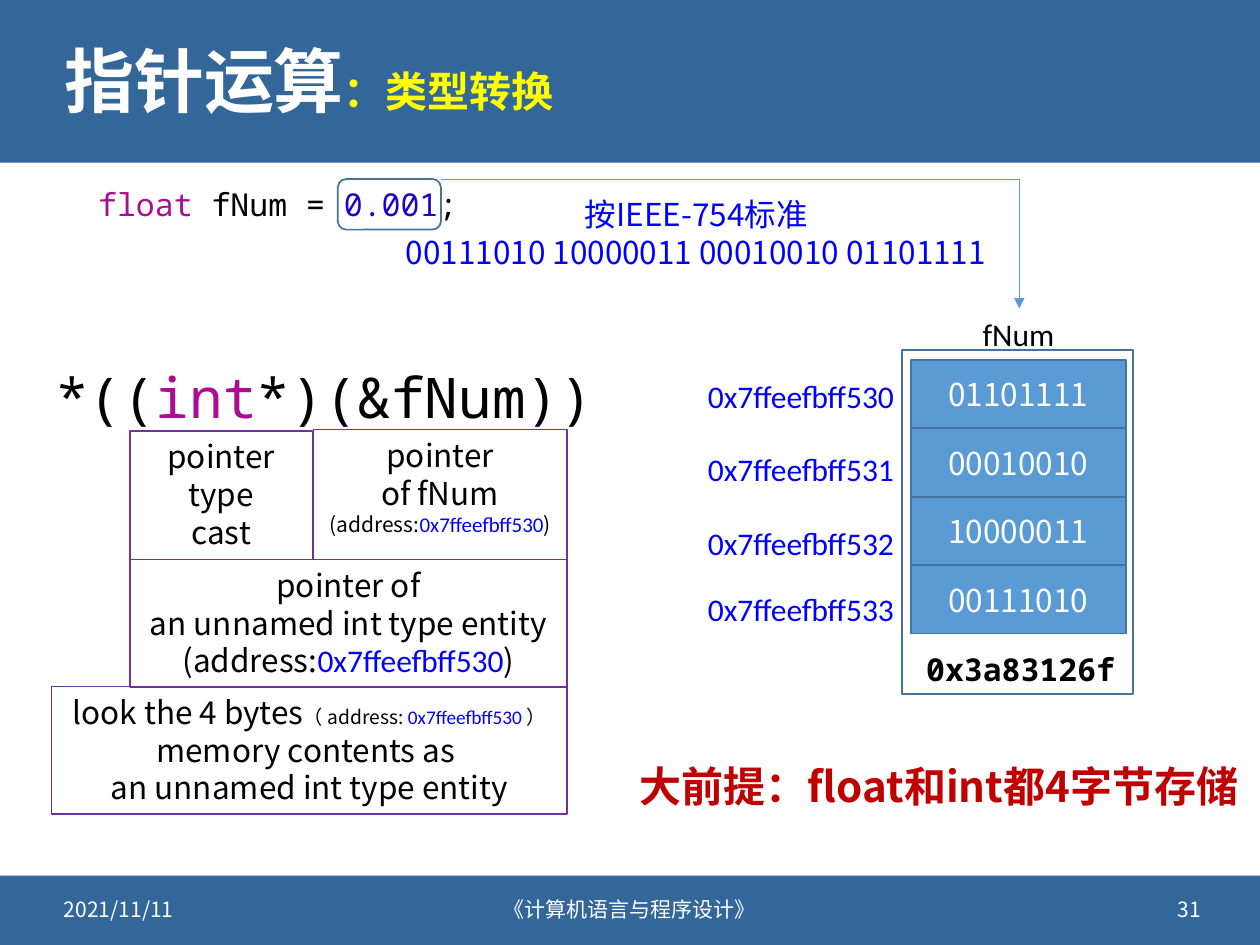
from lxml import etree
from pptx import Presentation
from pptx.dml.color import RGBColor
from pptx.enum import shapes, text
from pptx.oxml.ns import qn
from pptx.util import Cm, Pt

THEME = {
    "band": "336699", "cell": "5B9BD5", "edge": "43739E", "note": "7030A0",
    "white": "FFFFFF", "black": "000000", "yellow": "FFFF00", "blue": "0000FF",
    "keyword": "AA0D91", "number": "1C00CF", "red": "C00000",
    "sans": "Noto Sans CJK SC", "mono": "Noto Sans Mono", "latin": "Calibri",
    "tiny": 11, "small": 12, "body": 18, "large": 24, "code": 32, "title": 40,
}
LEFT, CENTER, RIGHT = text.PP_ALIGN.LEFT, text.PP_ALIGN.CENTER, text.PP_ALIGN.RIGHT
RECT, ROUNDED = shapes.MSO_SHAPE.RECTANGLE, shapes.MSO_SHAPE.ROUNDED_RECTANGLE
ADDRESS = "0x7ffeefbff530"


def sans(words, size="body", color="black", bold=False):
    return words, "sans", size, color, bold


def mono(words, size="body", color="black", bold=False):
    return words, "mono", size, color, bold


def latin(words, size="body", color="blue", bold=False):
    return words, "latin", size, color, bold


BANDS = [(0, 0, 25.4, 3.28), (0, 17.65, 25.4, 1.4)]
FOOTER = [
    ("2021/11/11", LEFT, 1.04, 6.1),
    ("《计算机语言与程序设计》", CENTER, 8.13, 9.14),
    ("31", RIGHT, 18.36, 6.1),
]
TITLE = [[sans("指针运算", "title", "white", True), sans("：类型转换", "large", "yellow", True)]]
LABELS = [
    ((1.73, 3.61, 7.87, 1.02), [[mono("float ", color="keyword"), mono("fNum = "),
                                 mono("0.001", color="number"), mono(";")]]),
    ((19.56, 6.22, 1.98, 1.02), [[latin("fNum", color="black")]]),
    ((0.86, 7.19, 11.48, 1.63), [[mono("*((", "code"), mono("int", "code", "keyword"),
                                  mono("*)(&fNum))", "code")]]),
    ((18.42, 12.98, 4.39, 1.02), [[mono("0x3a83126f", bold=True)]]),
]
STANDARD = [[sans("按IEEE-754标准", color="blue")],
            [sans("00111010 10000011 00010010 01101111", color="blue")]]
PREMISE = [[sans("大前提：float和int都4字节存储", "large", "red", True)]]
MEMORY = [
    ("01101111", "0x7ffeefbff530", 7.47),
    ("00010010", "0x7ffeefbff531", 8.94),
    ("10000011", "0x7ffeefbff532", 10.44),
    ("00111010", "0x7ffeefbff533", 11.76),
]
NOTES = [
    ((6.32, 8.66, 5.11, 2.62), [
        [sans("pointer")], [sans("of fNum")],
        [sans("(address:", "small"), latin(ADDRESS, "small"), sans(")", "small")]]),
    ((2.62, 8.69, 3.68, 2.59), [[sans("pointer")], [sans("type")], [sans("cast")]]),
    ((2.62, 11.28, 8.81, 2.57), [
        [sans("pointer of")], [sans("an unnamed int type entity")],
        [sans("(address:"), latin(ADDRESS), sans(")")]]),
    ((1.04, 13.84, 10.39, 2.57), [
        [sans("look the 4 bytes"), sans("（ address:", "tiny"), latin(f" {ADDRESS} ", "tiny"),
         sans("） ", "tiny"), sans("memory contents as ")],
        [sans("an unnamed int type entity")]]),
]


def color_of(name):
    return RGBColor.from_string(THEME[name])


def write(shape, lines, align=LEFT, anchor=text.MSO_ANCHOR.TOP, wrap=True, spacing=None):
    frame = shape.text_frame
    frame.word_wrap = wrap
    frame.vertical_anchor = anchor
    for index, spans in enumerate(lines):
        para = frame.add_paragraph() if index else frame.paragraphs[0]
        para.alignment = align
        para.line_spacing = spacing
        for words, face, size, color, bold in spans:
            span = para.add_run()
            span.text = words
            span.font.name = THEME[face]
            span.font.size = Pt(THEME[size])
            span.font.bold = bold
            span.font.color.rgb = color_of(color)
            east = etree.Element(qn("a:ea"), typeface=THEME["sans"])
            span.font._element.find(qn("a:latin")).addnext(east)


def add_box(page, place, kind=RECT, fill=None, line=None, width=1):
    box = page.shapes.add_shape(kind, *map(Cm, place))
    box.shadow.inherit = False
    if fill:
        box.fill.solid()
        box.fill.fore_color.rgb = color_of(fill)
    else:
        box.fill.background()
    if line:
        box.line.color.rgb = color_of(line)
        box.line.width = Pt(width)
    else:
        box.line.fill.background()
    return box


def add_label(page, place, lines, **layout):
    label = page.shapes.add_textbox(*map(Cm, place))
    write(label, lines, **layout)


def add_bent_arrow(page, *ends):
    arrow = page.shapes.add_connector(shapes.MSO_CONNECTOR.ELBOW, *map(Cm, ends))
    arrow.line.color.rgb = color_of("cell")
    arrow.line.width = Pt(0.5)
    properties = arrow._element.spPr
    properties.find(qn("a:prstGeom")).set("prst", "bentConnector2")
    etree.SubElement(properties.find(qn("a:ln")), qn("a:tailEnd"), type="triangle")
    etree.SubElement(properties, qn("a:effectLst"))


def main():
    deck = Presentation()
    deck.slide_width, deck.slide_height = Cm(25.4), Cm(19.05)
    page = deck.slides.add_slide(deck.slide_layouts[5])
    middle = text.MSO_ANCHOR.MIDDLE

    for place in BANDS:
        add_box(page, place, fill="band")
    for words, align, left, width in FOOTER:
        add_label(page, (left, 17.81, width, 1.02), [[sans(words, "small", "white")]],
                  align=align, anchor=middle)

    title = page.shapes.title
    page.shapes._spTree.append(title._element)
    title.left, title.top, title.width, title.height = map(Cm, (1.04, 0.46, 23.34, 2.51))
    write(title, TITLE, anchor=middle, spacing=0.9)

    for place, lines in LABELS:
        add_label(page, place, lines, wrap=False)
    add_label(page, (7.52, 3.81, 13.03, 1.8), STANDARD, align=CENTER)
    add_label(page, (12.65, 15.21, 12.75, 1.27), PREMISE)

    for row, (bits, address, top) in enumerate(MEMORY):
        cell = add_box(page, (18.36, 7.26 + 1.38 * row, 4.34, 1.37), fill="cell", line="edge")
        write(cell, [[sans(bits, color="white")]], align=CENTER, anchor=middle)
        add_label(page, (14.02, top, 4.34, 1.02), [[latin(address)]], wrap=False)
    add_box(page, (18.19, 7.06, 4.65, 6.93), line="edge")

    add_box(page, (6.81, 3.61, 2.08, 1.02), kind=ROUNDED, line="edge")
    add_bent_arrow(page, 8.89, 3.61, 20.55, 6.22)

    for place, lines in NOTES:
        note = add_box(page, place, line="note", width=0.75)
        write(note, lines, align=CENTER)

    deck.save("out.pptx")


if __name__ == "__main__":
    main()
